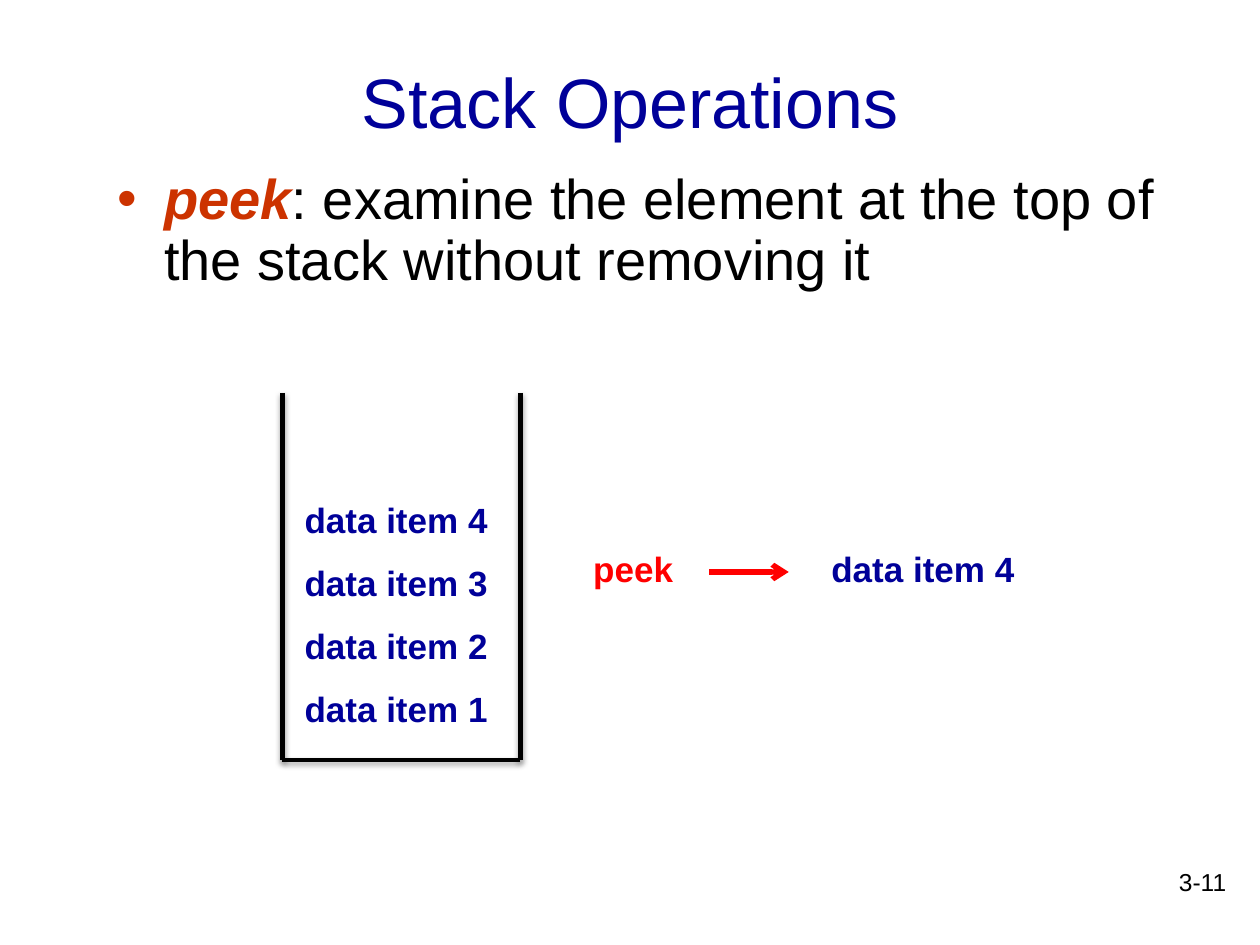
from lxml import etree
from pptx import Presentation
from pptx import util as u
from pptx.dml.color import RGBColor
from pptx.enum import shapes, text
from pptx.oxml.ns import qn

Cm, Pt = u.Cm, u.Pt
NAVY, RED, RUST, BLACK = "000099", "FF0000", "CC3300", "000000"


def rgb(value):
    return RGBColor.from_string(value)


def add_run(p, words, size=20, color=NAVY, bold=False, italic=False):
    r = p.add_run()
    r.text = words
    r.font.name, r.font.size = "Arial", Pt(size)
    r.font.bold, r.font.italic = bold, italic
    r.font.color.rgb = rgb(color)
    return r


def add_text(s, box, lines, align=text.PP_ALIGN.LEFT, wrap=True, after=0, **fmt):
    """Add a text box with one paragraph for each line."""
    sp = s.shapes.add_textbox(*map(Cm, box))
    tf = sp.text_frame
    tf.word_wrap = wrap
    if not wrap:
        tf.auto_size = text.MSO_AUTO_SIZE.SHAPE_TO_FIT_TEXT
    for i, line in enumerate(lines):
        p = tf.paragraphs[0] if i == 0 else tf.add_paragraph()
        p.alignment, p.space_after = align, Pt(after)
        add_run(p, line, **fmt)
    return sp


def add_line(s, start, end, color=BLACK, width=3, shadow=0, arrow=False):
    """Draw a straight line; shadow is its opacity in percent."""
    sp = s.shapes.add_connector(shapes.MSO_CONNECTOR.STRAIGHT, *map(Cm, start + end))
    sp.line.color.rgb, sp.line.width = rgb(color), Pt(width)
    if arrow:
        etree.SubElement(sp.line._get_or_add_ln(), qn("a:tailEnd"), type="arrow")
    effects = etree.SubElement(sp._element.spPr, qn("a:effectLst"))
    if shadow:
        outer = etree.SubElement(effects, qn("a:outerShdw"), blurRad=str(Pt(3.1)),
                                 dist=str(Pt(1.8)), dir="5400000", rotWithShape="0")
        tint = etree.SubElement(outer, qn("a:srgbClr"), val=BLACK)
        etree.SubElement(tint, qn("a:alpha"), val=str(shadow * 1000))


def set_title(s, box, words):
    sp = s.shapes.title
    sp.left, sp.top, sp.width, sp.height = map(Cm, box)
    tf = sp.text_frame
    tf.vertical_anchor = text.MSO_ANCHOR.MIDDLE
    p = tf.paragraphs[0]
    p.alignment = text.PP_ALIGN.CENTER
    add_run(p, words, size=40)


def add_definition(s, box, term, meaning):
    """Add a bulleted term followed by its meaning."""
    sp = add_text(s, box, [term], size=32, color=RUST, bold=True, italic=True)
    p = sp.text_frame.paragraphs[0]
    p.line_spacing = 0.9
    pPr = p._p.get_or_add_pPr()
    pPr.set("marL", str(Cm(0.95)))
    pPr.set("indent", str(-Cm(0.95)))
    bullet_color = etree.SubElement(pPr, qn("a:buClr"))
    etree.SubElement(bullet_color, qn("a:srgbClr"), val=RUST)
    etree.SubElement(pPr, qn("a:buFont"), typeface="Arial")
    etree.SubElement(pPr, qn("a:buChar"), char="•")
    add_run(p, meaning, size=32, color=BLACK)


def add_stack(s, box, items):
    """Draw an open-topped container holding the items."""
    x, y, w, h = box
    for side in (x, x + w):
        add_line(s, (side, y), (side, y + h), shadow=35)
    add_text(s, (x + 0.2, y + 2.01, 4.22, 4.95), items, wrap=False, after=12, bold=True)
    add_line(s, (x, y + h), (x + w, y + h), width=2, shadow=38)


def add_operation(s, box, name, result):
    """Show an operation with an arrow to what it returns."""
    x, y, w, h = box
    result_w = 4.22
    add_text(s, (x, y, 2.13, h), [name], wrap=False, color=RED, bold=True)
    mid = y + 0.61
    add_line(s, (x + 2.59, mid), (x + 4.19, mid), color=RED, arrow=True)
    add_text(s, (x + w - result_w, y, result_w, h), [result], wrap=False, bold=True)


def main():
    prs = Presentation()
    prs.slide_width, prs.slide_height = Cm(25.4), Cm(19.05)
    s = prs.slides.add_slide(prs.slide_layouts[5])
    set_title(s, (1.9, 0.43, 21.6, 3.18), "Stack Operations")
    add_definition(s, (2.11, 3.33, 21.6, 15.6), "peek",
                   ": examine the element at the top of the stack without removing it")
    add_stack(s, (5.69, 7.92, 4.8, 7.4), [f"data item {n}" for n in range(4, 0, -1)])
    add_operation(s, (11.71, 10.92, 9.02, 1.12), "peek", "data item 4")
    add_text(s, (19.69, 17.35, 5.28, 1.27), ["3-11"], align=text.PP_ALIGN.RIGHT,
             size=14, color=BLACK)
    prs.save("out.pptx")


if __name__ == "__main__":
    main()
